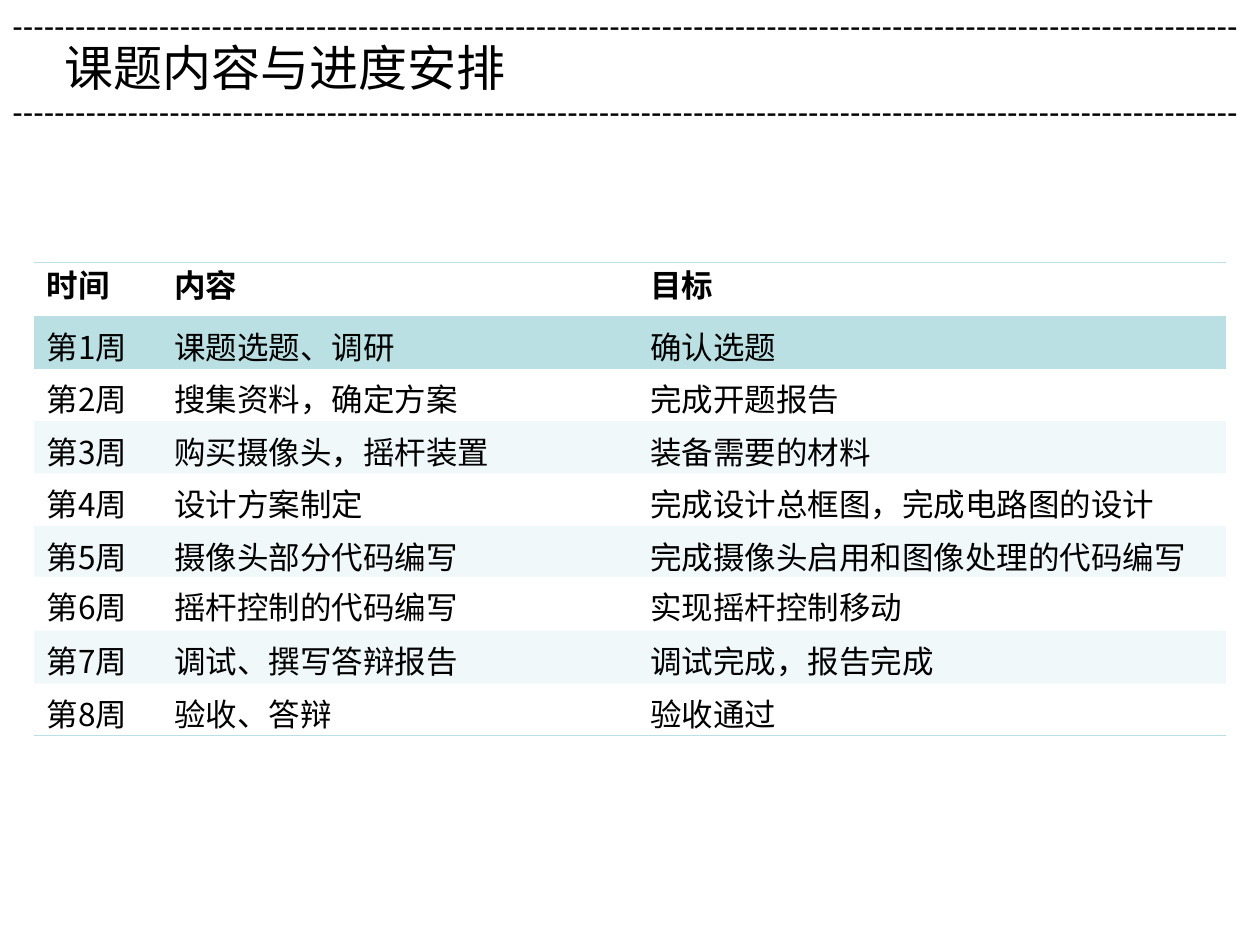
import pptx
import pptx.dml.color
import pptx.enum.text
import pptx.oxml
import pptx.oxml.ns
import pptx.util
from dataclasses import dataclass

Pt = pptx.util.Pt


@dataclass(frozen=True)
class Theme:
    ink: str = "000000"
    accent: str = "BBE0E3"
    band_alpha: int = 20
    border: float = 0.45
    head_font: str = "Arial"
    body_font: str = "Noto Sans CJK SC"
    title_size: int = 28
    text_size: int = 18


class Deck:
    def __init__(self, prs, theme):
        self.theme = theme
        self.s = prs.slides.add_slide(prs.slide_layouts[6])

    def style(self, p, size, font, bold=False):
        p.font.size = Pt(size)
        p.font.name = font
        p.font.bold = bold
        p.font.color.rgb = pptx.dml.color.RGBColor.from_string(self.theme.ink)
        # East Asian glyphs take the same font as Latin ones
        for r in p.runs:
            ea = pptx.oxml.parse_xml(
                f'<a:ea {pptx.oxml.ns.nsdecls("a")} typeface="{font}"/>')
            r._r.get_or_add_rPr().append(ea)

    def text(self, x, y, w, h, text, size):
        sp = self.s.shapes.add_textbox(Pt(x), Pt(y), Pt(w), Pt(h))
        tf = sp.text_frame
        tf.word_wrap = True
        tf.auto_size = pptx.enum.text.MSO_AUTO_SIZE.SHAPE_TO_FIT_TEXT
        p = tf.paragraphs[0]
        p.text = text
        self.style(p, size, self.theme.head_font)

    def borders(self, cell, shown):
        tcPr = cell._tc.get_or_add_tcPr()
        for side in ("lnL", "lnR", "lnT", "lnB"):
            paint = (f'<a:solidFill><a:srgbClr val="{self.theme.accent}"/></a:solidFill>'
                     if side in shown else "<a:noFill/>")
            tcPr.append(pptx.oxml.parse_xml(
                f'<a:{side} {pptx.oxml.ns.nsdecls("a")} '
                f'w="{Pt(self.theme.border)}">{paint}</a:{side}>'))

    def fill(self, cell, banded):
        if not banded:
            cell.fill.background()
            return
        cell.fill.solid()
        cell.fill.fore_color.rgb = pptx.dml.color.RGBColor.from_string(self.theme.accent)
        clr = cell._tc.tcPr.find(".//" + pptx.oxml.ns.qn("a:srgbClr"))
        clr.append(pptx.oxml.parse_xml(
            f'<a:alpha {pptx.oxml.ns.nsdecls("a")} val="{self.theme.band_alpha * 1000}"/>'))

    def table(self, x, y, widths, heights, rows):
        t = self.theme
        table = self.s.shapes.add_table(
            len(rows), len(widths), Pt(x), Pt(y),
            Pt(sum(widths)), Pt(sum(heights))).table
        table.horz_banding = False
        for column, width in zip(table.columns, widths):
            column.width = Pt(width)
        for i, (row, height) in enumerate(zip(rows, heights)):
            table.rows[i].height = Pt(height)
            # Rules above and below the header, and under the last row
            shown = {0: ("lnT", "lnB"), 1: ("lnT",), len(rows) - 1: ("lnB",)}.get(i, ())
            for j, text in enumerate(row):
                cell = table.cell(i, j)
                p = cell.text_frame.paragraphs[0]
                p.text = text
                self.style(p, t.text_size, t.body_font if i else t.head_font, bold=i == 0)
                self.borders(cell, shown)
                self.fill(cell, banded=i % 2 == 1)


SCHEDULE = [
    ("课题选题、调研", "确认选题"),
    ("搜集资料，确定方案", "完成开题报告"),
    ("购买摄像头，摇杆装置", "装备需要的材料"),
    ("设计方案制定", "完成设计总框图，完成电路图的设计"),
    ("摄像头部分代码编写", "完成摄像头启用和图像处理的代码编写"),
    ("摇杆控制的代码编写", "实现摇杆控制移动"),
    ("调试、撰写答辩报告", "调试完成，报告完成"),
    ("验收、答辩", "验收通过"),
]


def main():
    prs = pptx.Presentation()
    prs.slide_width, prs.slide_height = Pt(720), Pt(540)
    theme = Theme()
    deck = Deck(prs, theme)

    # Title between two dashed rules
    deck.text(30, 18, 564, 41, "课题内容与进度安排", theme.title_size)
    for y in (0, 49):
        deck.text(0, y, 720, 29, "-" * 117, theme.text_size)

    # Weekly schedule
    rows = [("时间", "内容", "目标")]
    rows += [(f"第{week}周", *entry) for week, entry in enumerate(SCHEDULE, 1)]
    heights = [30.9, 30.2, 29.8, 29.8, 30.2, 28.6, 30.9, 30.2, 29.5]
    deck.table(19.5, 149.8, [72.8, 272, 336.2], heights, rows)

    prs.save("out.pptx")


if __name__ == "__main__":
    main()
